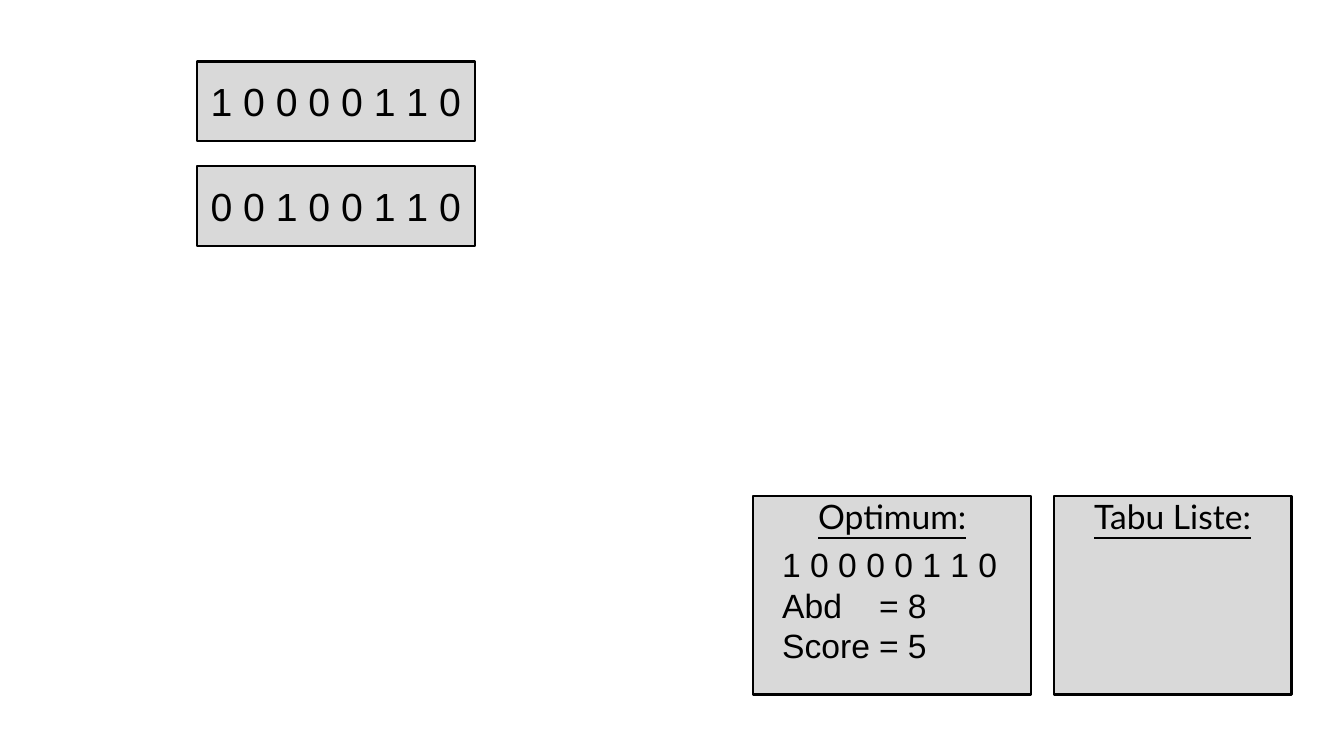
import pptx
import pptx.util
import pptx.dml.color
import pptx.enum.shapes
import pptx.enum.text
from lxml import etree
from pptx.util import Inches, Pt

COLOURS = {"panel": "D9D9D9", "ink": "000000"}
ALIGN = pptx.enum.text.PP_ALIGN
ANCHOR = pptx.enum.text.MSO_ANCHOR


def colour(name):
    return pptx.dml.color.RGBColor.from_string(COLOURS[name])


def style(paragraph, size, font, underline=False):
    paragraph.font.size = Pt(size)
    for run in paragraph.runs:
        run.font.size = Pt(size)
        run.font.name = font
        run.font.color.rgb = colour("ink")
        if underline:
            run.font.underline = True


def add_panel(slide, left, top, width, height, label):
    panel = slide.shapes.add_shape(
        pptx.enum.shapes.MSO_SHAPE.RECTANGLE,
        Inches(left), Inches(top), Inches(width), Inches(height))
    panel.shadow.inherit = False
    panel.fill.solid()
    panel.fill.fore_color.rgb = colour("panel")
    panel.line.color.rgb = colour("ink")
    panel.line.width = Pt(1.5)
    panel.text_frame.text = label
    panel.text_frame.paragraphs[0].alignment = ALIGN.CENTER
    return panel.text_frame


def add_solutions(slide, left, top, width, height, pitch, solutions):
    for row, bits in enumerate(solutions):
        frame = add_panel(slide, left, top + row * pitch, width, height, bits)
        frame.vertical_anchor = ANCHOR.MIDDLE
        style(frame.paragraphs[0], 28, "Arial")


def add_titled_panel(slide, left, top, width, height, title):
    frame = add_panel(slide, left, top, width, height, title)
    frame.vertical_anchor = ANCHOR.TOP
    frame.margin_top = 0
    style(frame.paragraphs[0], 24, "Lato", underline=True)


def add_optimum(slide, left, top, width, height, bits, values):
    add_titled_panel(slide, left, top, width, height, "Optimum:")
    details = slide.shapes.add_textbox(
        Inches(left + 0.19), Inches(top + 0.43), Inches(2.35), Inches(1.31))
    frame = details.text_frame
    frame.word_wrap = False
    frame.text = bits
    measures = frame.add_paragraph()
    measures.text = "\v".join(f"{name}\t= {value}" for name, value in values)
    # Tab stop lines up the equals signs
    properties = measures._p.get_or_add_pPr()
    namespace = "{http://schemas.openxmlformats.org/drawingml/2006/main}"
    tabs = etree.SubElement(properties, namespace + "tabLst")
    etree.SubElement(tabs, namespace + "tab", pos=str(Inches(0.96)), algn="l")
    for paragraph in frame.paragraphs:
        style(paragraph, 24, "Arial")


def main():
    presentation = pptx.Presentation()
    presentation.slide_width = Inches(13.33)
    presentation.slide_height = Inches(7.5)
    slide = presentation.slides.add_slide(presentation.slide_layouts[6])

    # Current solution and its neighbour
    add_solutions(slide, 1.95, 0.61, 2.76, 0.79, 1.04,
                  ["1 0 0 0 0 1 1 0", "0 0 1 0 0 1 1 0"])

    # Search memory
    add_titled_panel(slide, 10.45, 4.92, 2.36, 1.97, "Tabu Liste:")
    add_optimum(slide, 7.47, 4.92, 2.76, 1.97, "1 0 0 0 0 1 1 0",
                [("Abd", 8), ("Score", 5)])

    presentation.save("out.pptx")


if __name__ == "__main__":
    main()
